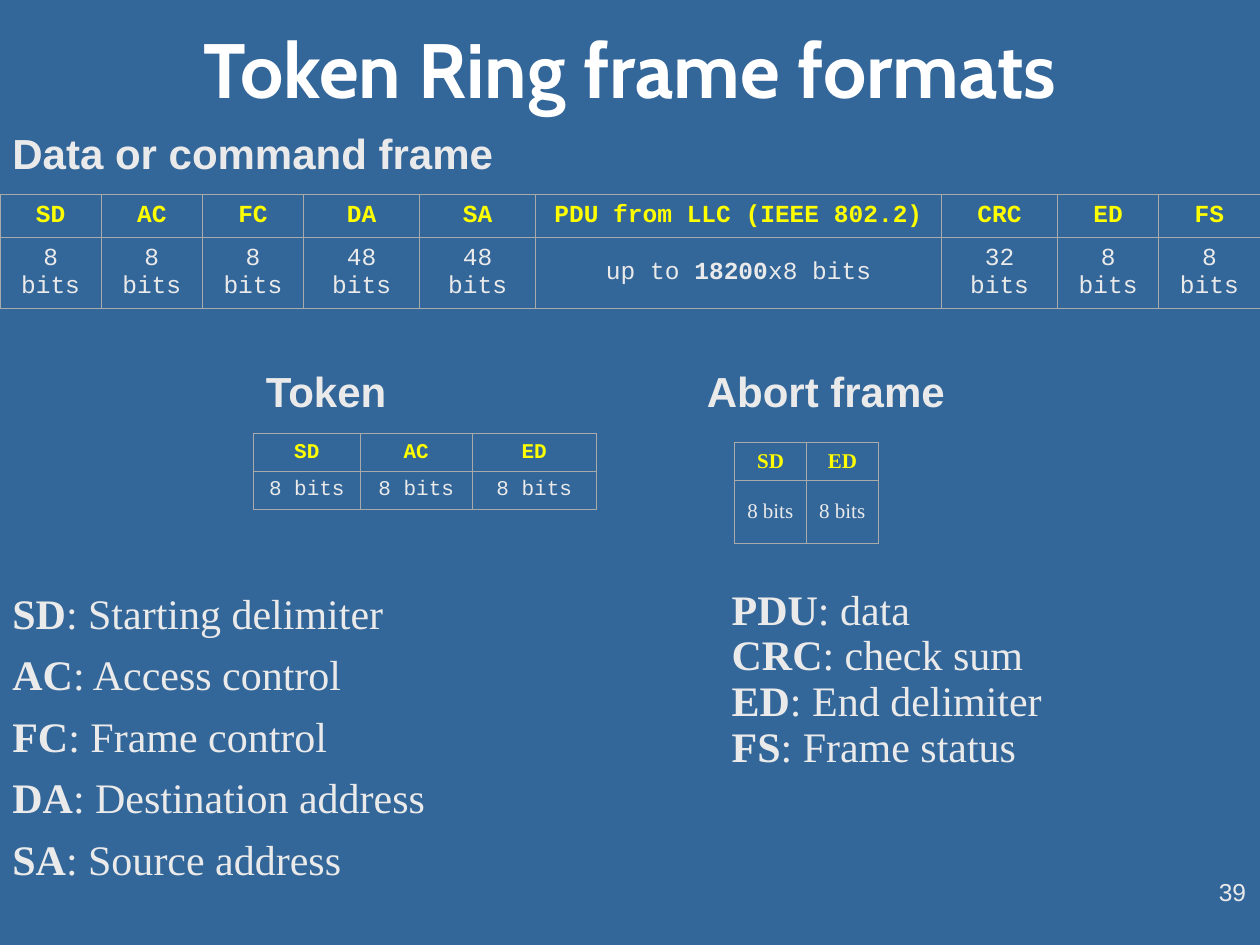
from dataclasses import dataclass

from lxml.etree import SubElement
from pptx import Presentation
from pptx.dml.color import RGBColor
from pptx.enum.text import MSO_ANCHOR, PP_ALIGN
from pptx.oxml.ns import qn
from pptx.util import Cm, Pt


@dataclass(frozen=True)
class Theme:
    background: str = "336699"
    title: str = "FFFFFF"
    text: str = "EAEAEA"
    field: str = "FFFF00"
    border: str = "AAAAAA"
    title_font: str = "Cabin"
    heading_font: str = "Arial"
    list_font: str = "Times New Roman"
    code_font: str = "Courier New"
    title_size: int = 44
    body_size: int = 24
    wide_size: int = 14
    small_size: int = 12
    border_width: float = 0.45


theme = Theme()


def write(paragraph, text, font_name, size, color, align=PP_ALIGN.LEFT):
    """Fill a paragraph; stretches between asterisks become bold runs."""
    paragraph.alignment = align
    for index, part in enumerate(text.split("*")):
        if part:
            run = paragraph.add_run()
            run.text = part
            run.font.name = font_name
            run.font.size = Pt(size)
            run.font.bold = index % 2 == 1
            run.font.color.rgb = RGBColor.from_string(color)


def add_border(cell):
    properties = cell._tc.get_or_add_tcPr()
    for index, side in enumerate(("lnL", "lnR", "lnT", "lnB")):
        line = SubElement(properties, qn(f"a:{side}"), w=str(Pt(theme.border_width)))
        fill = SubElement(line, qn("a:solidFill"))
        SubElement(fill, qn("a:srgbClr"), val=theme.border)
        properties.insert(index, line)


presentation = Presentation()
presentation.slide_width = Cm(25.4)
presentation.slide_height = Cm(19.05)
slide = presentation.slides.add_slide(presentation.slide_layouts[5])
slide.background.fill.solid()
slide.background.fill.fore_color.rgb = RGBColor.from_string(theme.background)

# Title and slide number
title = slide.shapes.title
title.left, title.top, title.width, title.height = Cm(0), Cm(0), Cm(25.4), Cm(2.72)
title.text_frame.vertical_anchor = MSO_ANCHOR.MIDDLE
write(title.text_frame.paragraphs[0], "*Token Ring frame formats*",
      theme.title_font, theme.title_size, theme.title, PP_ALIGN.CENTER)

page_number = slide.shapes.add_textbox(Cm(20.09), Cm(17.35), Cm(5.28), Cm(1.27)).text_frame
page_number.word_wrap = True
page_number.vertical_anchor = MSO_ANCHOR.MIDDLE
write(page_number.paragraphs[0], "39", theme.heading_font, theme.wide_size,
      theme.text, PP_ALIGN.RIGHT)

# Frame layouts: left, top, column widths, row heights, font, size, bits alignment, fields
frames = [
    (0, 3.92, [2.04] * 3 + [2.34] * 2 + [8.18, 2.34] + [2.04] * 2, [0.86, 1.44],
     theme.code_font, theme.wide_size, PP_ALIGN.CENTER,
     [("SD", "8 bits"), ("AC", "8 bits"), ("FC", "8 bits"), ("DA", "48 bits"),
      ("SA", "48 bits"), ("PDU from LLC (IEEE 802.2)", "up to *18200*x8 bits"),
      ("CRC", "32 bits"), ("ED", "8 bits"), ("FS", "8 bits")]),
    (5.11, 8.74, [2.15, 2.26, 2.5], [0.76, 0.76],
     theme.code_font, theme.small_size, PP_ALIGN.CENTER,
     [("SD", "8 bits"), ("AC", "8 bits"), ("ED", "8 bits")]),
    (14.81, 8.92, [1.45, 1.45], [0.76, 1.27],
     theme.list_font, theme.small_size, PP_ALIGN.LEFT,
     [("SD", "8 bits"), ("ED", "8 bits")]),
]
for left, top, widths, heights, font_name, size, bits_align, fields in frames:
    frame = slide.shapes.add_table(
        2, len(fields), Cm(left), Cm(top), Cm(sum(widths)), Cm(sum(heights))).table
    frame.first_row = frame.horz_banding = False
    for row, height in zip(frame.rows, heights):
        row.height = Cm(height)
    for column, (width, (field, bits)) in enumerate(zip(widths, fields)):
        frame.columns[column].width = Cm(width)
        entries = [(f"*{field}*", theme.field, PP_ALIGN.CENTER),
                   (bits, theme.text, bits_align)]
        for row_index, (text, color, align) in enumerate(entries):
            cell = frame.cell(row_index, column)
            cell.vertical_anchor = MSO_ANCHOR.MIDDLE
            cell.fill.solid()
            cell.fill.fore_color.rgb = RGBColor.from_string(theme.background)
            add_border(cell)
            write(cell.text_frame.paragraphs[0], text, font_name, size, color, align)

# Headings and legends: left, top, width, height, font, space before, lines
passages = [
    (0, 2.72, 14.55, 0.97, theme.heading_font, 15, ["*Data or command frame*"]),
    (5.11, 7.52, 3.71, 0.97, theme.heading_font, 15, ["*Token*"]),
    (14, 7.52, 6.81, 0.97, theme.heading_font, 15, ["*Abort frame*"]),
    (0, 11.99, 14.2, 7.16, theme.list_font, 15,
     ["*SD*: Starting delimiter", "*AC*: Access control", "*FC*: Frame control",
      "*DA*: Destination address", "*SA*: Source address"]),
    (14.5, 11.91, 9.8, 4.98, theme.list_font, 6,
     ["*PDU*: data", "*CRC*: check sum", "*ED*: End delimiter", "*FS*: Frame status"]),
]
for left, top, width, height, font_name, space_before, lines in passages:
    passage = slide.shapes.add_textbox(Cm(left), Cm(top), Cm(width), Cm(height)).text_frame
    passage.word_wrap = True
    for index, line in enumerate(lines):
        paragraph = passage.add_paragraph() if index else passage.paragraphs[0]
        paragraph.line_spacing = 0.7
        paragraph.space_before = Pt(space_before)
        write(paragraph, line, font_name, theme.body_size, theme.text)

presentation.save("out.pptx")
